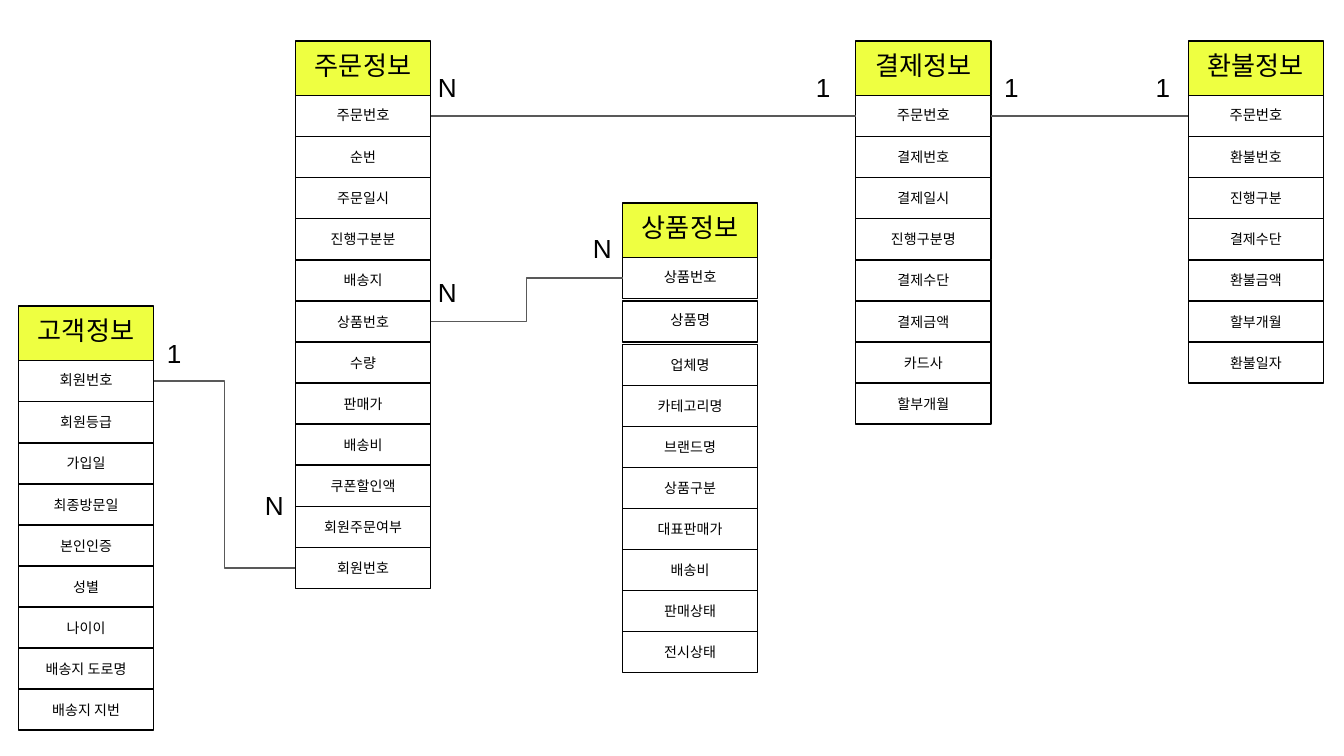
"""Builds an entity diagram of customer, order, product, payment and refund data."""
import pptx
import pptx.dml.color
import pptx.enum.shapes
import pptx.enum.text
import pptx.oxml.ns
import pptx.util
from lxml import etree

Pt = pptx.util.Pt
COLORS = {"header": "EEFF41", "ink": "000000", "link": "595959"}
FONT = "Arial"
WIDTH, HEADER_H, ROW_H = 72.5, 29.25, 22
INSET = 7.2

ENTITIES = {
    "customer": (9.9, 164, 1, 22, "고객정보", [
        "회원번호", "회원등급", "가입일", "최종방문일", "본인인증", "성별", "나이이",
        "배송지 도로명", "배송지 지번"]),
    "order": (158.3, 22, 1, 22, "주문정보", [
        "주문번호", "순번", "주문일시", "진행구분분", "배송지", "상품번호", "수량",
        "판매가", "배송비", "쿠폰할인액", "회원주문여부", "회원번호"]),
    "payment": (458.4, 22, 1, 22, "결제정보", [
        "주문번호", "결제번호", "결제일시", "진행구분명", "결제수단", "결제금액",
        "카드사", "할부개월"]),
    "refund": (636.6, 22, 1, 22, "환불정보", [
        "주문번호", "환불번호", "진행구분", "결제수단", "환불금액", "할부개월",
        "환불일자"]),
    "product": (333.5, 108.8, 2, 23.2, "상품정보", [
        "상품번호", "상품명", "업체명", "카테고리명", "브랜드명", "상품구분",
        "대표판매가", "배송비", "판매상태", "전시상태"]),
}
LINKS = [
    ("customer", 0, "order", 11),
    ("order", 0, "payment", 0),
    ("payment", 0, "refund", 0),
    ("order", 5, "product", 0),
]
CARDINALITIES = [
    ("1", 82.4, 173.5, 14.4), ("N", 138.2, 254.9, 10.8),
    ("N", 230.8, 141.1, 10.8), ("N", 313.9, 117.4, 10.8),
    ("N", 230.8, 31, 10.8), ("1", 433.4, 31, 10.8),
    ("1", 530.9, 31, 14.4), ("1", 612, 31, 14.4),
]


def rgb(name):
    return pptx.dml.color.RGBColor.from_string(COLORS[name])


def write(sp, text, size, align, spacing=None):
    tf = sp.text_frame
    tf.word_wrap = True
    tf.margin_left = tf.margin_right = tf.margin_top = tf.margin_bottom = Pt(INSET)
    p = tf.paragraphs[0]
    p.alignment = align
    if spacing:
        p.line_spacing = spacing
    r = p.add_run()
    r.text = text
    r.font.size = Pt(size)
    r.font.name = FONT
    r.font.color.rgb = rgb("ink")
    return tf


def add_cell(group, x, y, h, text, size, spacing=None, fill=None):
    sp = group.shapes.add_shape(
        pptx.enum.shapes.MSO_SHAPE.RECTANGLE, Pt(x), Pt(y), Pt(WIDTH), Pt(h))
    sp.shadow.inherit = False
    if fill:
        sp.fill.solid()
        sp.fill.fore_color.rgb = rgb(fill)
    else:
        sp.fill.background()
    sp.line.color.rgb = rgb("ink")
    sp.line.width = Pt(0.75)
    tf = write(sp, text, size, pptx.enum.text.PP_ALIGN.CENTER, spacing)
    tf.vertical_anchor = pptx.enum.text.MSO_ANCHOR.MIDDLE
    return sp


def add_entity(slide, x, y, key_count, key_pitch, title, fields):
    group = slide.shapes.add_group_shape()
    add_cell(group, x, y, HEADER_H, title, 14, 0.8, "header")
    y += HEADER_H
    cells = []
    for i, field in enumerate(fields):
        is_key = i < key_count
        size, spacing = (7.7, 0.8) if is_key else (7.5, None)
        cells.append(add_cell(group, x, y, ROW_H, field, size, spacing))
        y += key_pitch if is_key else ROW_H
    return cells


def add_link(slide, source, target):
    right, left = 3, 1
    cx = slide.shapes.add_connector(
        pptx.enum.shapes.MSO_CONNECTOR.ELBOW,
        source.left + source.width, source.top + source.height // 2,
        target.left, target.top + target.height // 2)
    cx.begin_connect(source, right)
    cx.end_connect(target, left)
    cx.line.color.rgb = rgb("link")
    cx.line.width = Pt(0.75)
    etree.SubElement(cx._element.spPr, pptx.oxml.ns.qn("a:effectLst"))


def add_cardinality(slide, text, x, y, w):
    sp = slide.shapes.add_textbox(Pt(x), Pt(y), Pt(w), Pt(31.5))
    tf = write(sp, text, 14, pptx.enum.text.PP_ALIGN.LEFT)
    tf.auto_size = pptx.enum.text.MSO_AUTO_SIZE.SHAPE_TO_FIT_TEXT


def main():
    prs = pptx.Presentation()
    prs.slide_width, prs.slide_height = Pt(720), Pt(405)
    slide = prs.slides.add_slide(prs.slide_layouts[6])
    cells = {name: add_entity(slide, *entity) for name, entity in ENTITIES.items()}
    for source, i, target, j in LINKS:
        add_link(slide, cells[source][i], cells[target][j])
    for cardinality in CARDINALITIES:
        add_cardinality(slide, *cardinality)
    prs.save("out.pptx")


main()
